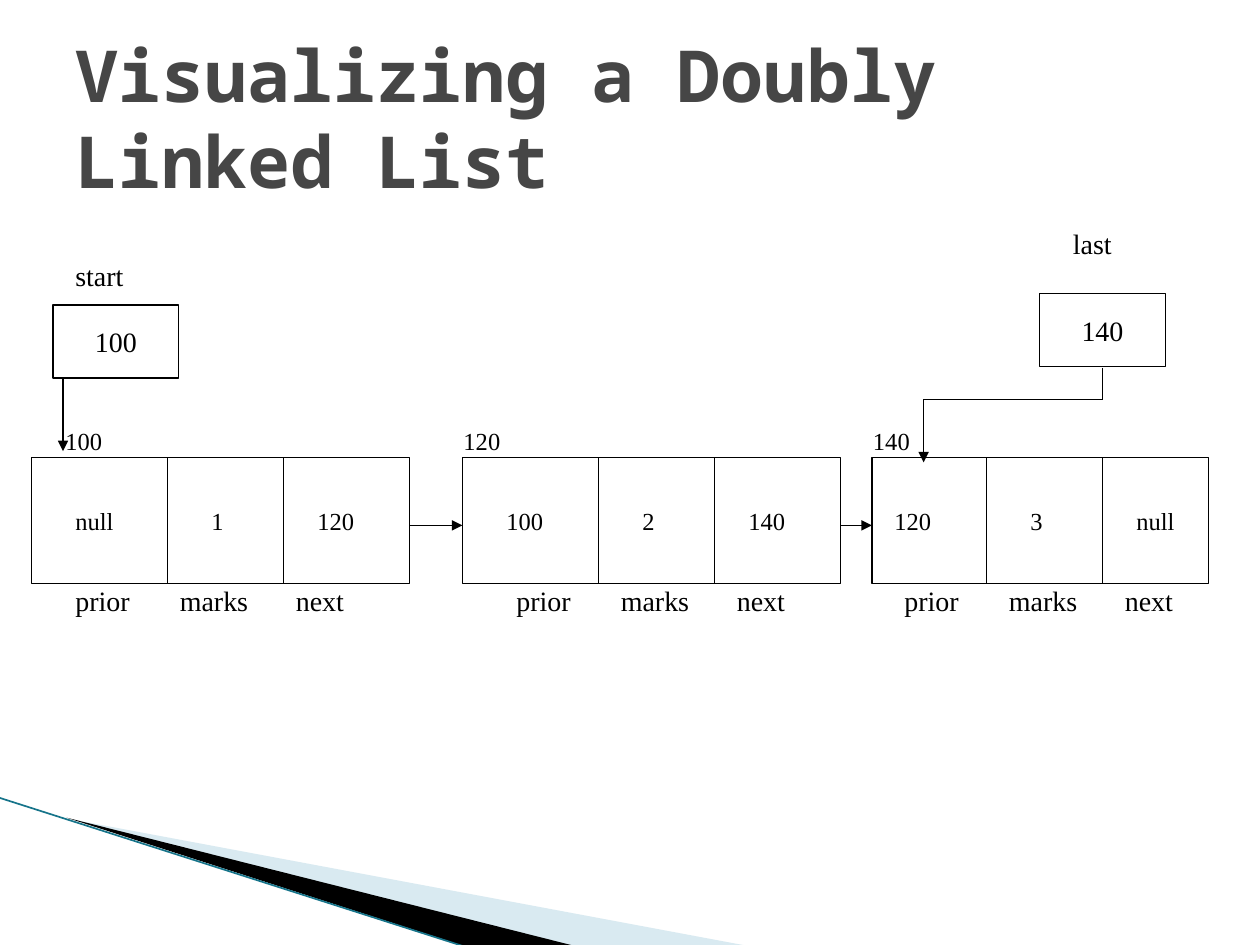
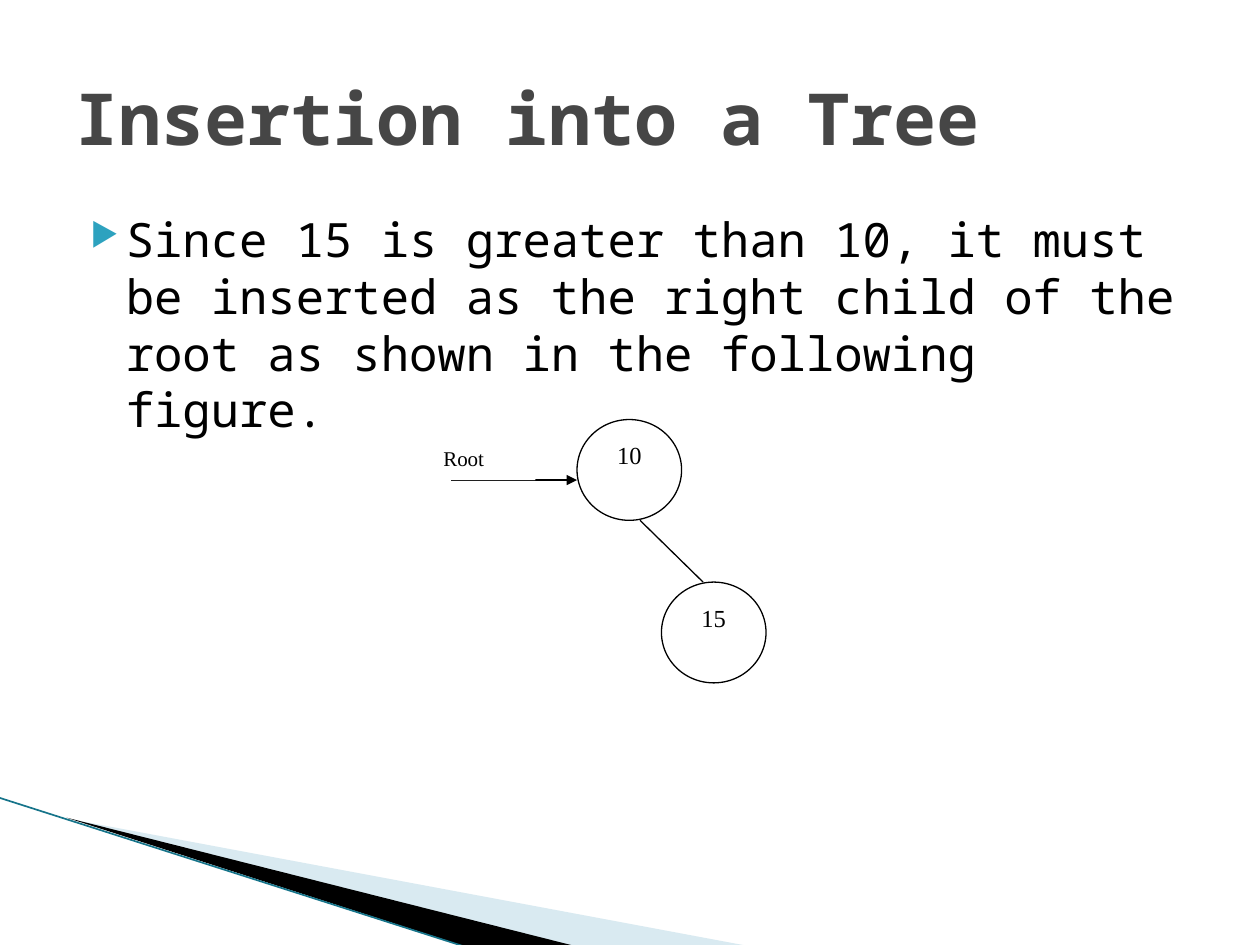
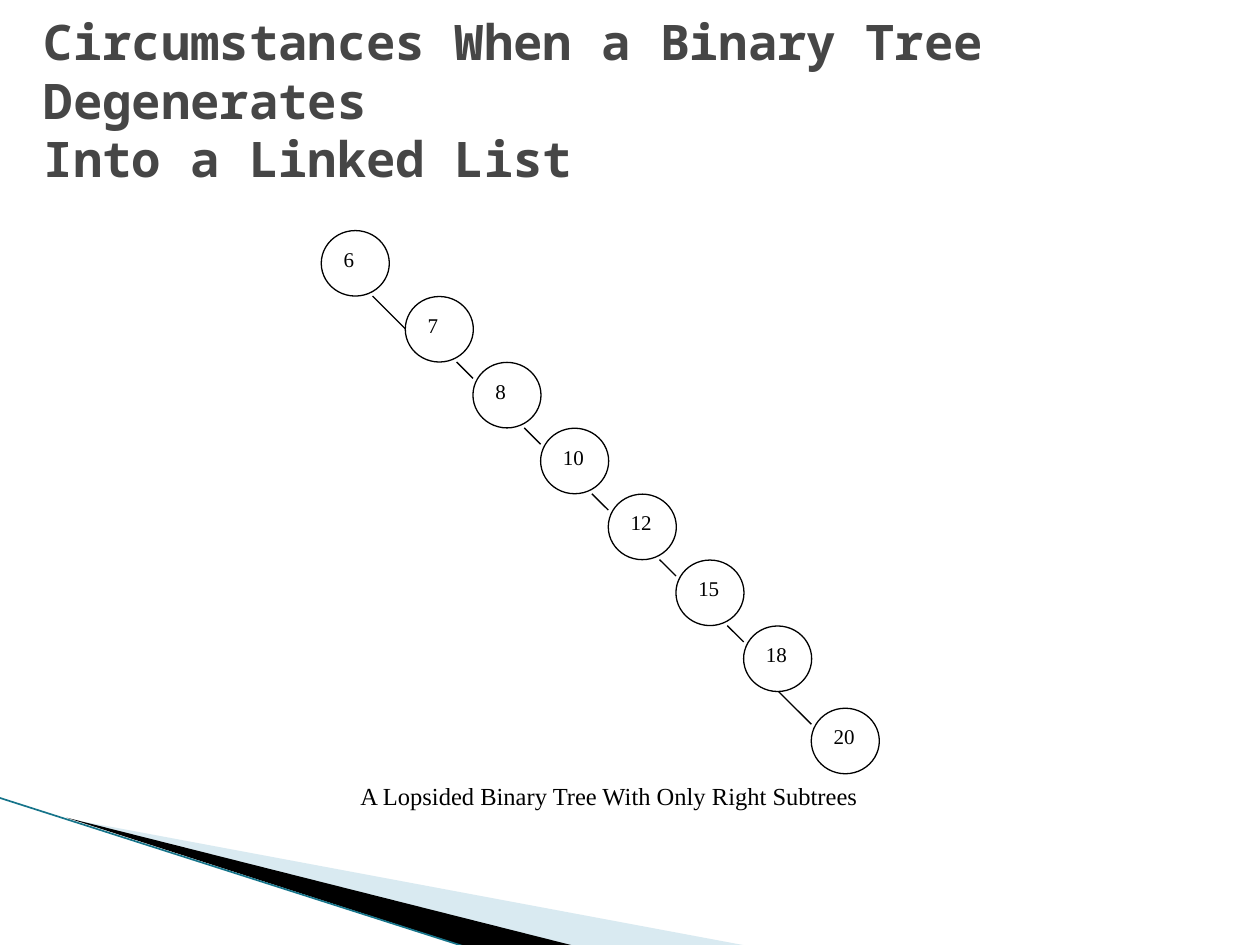
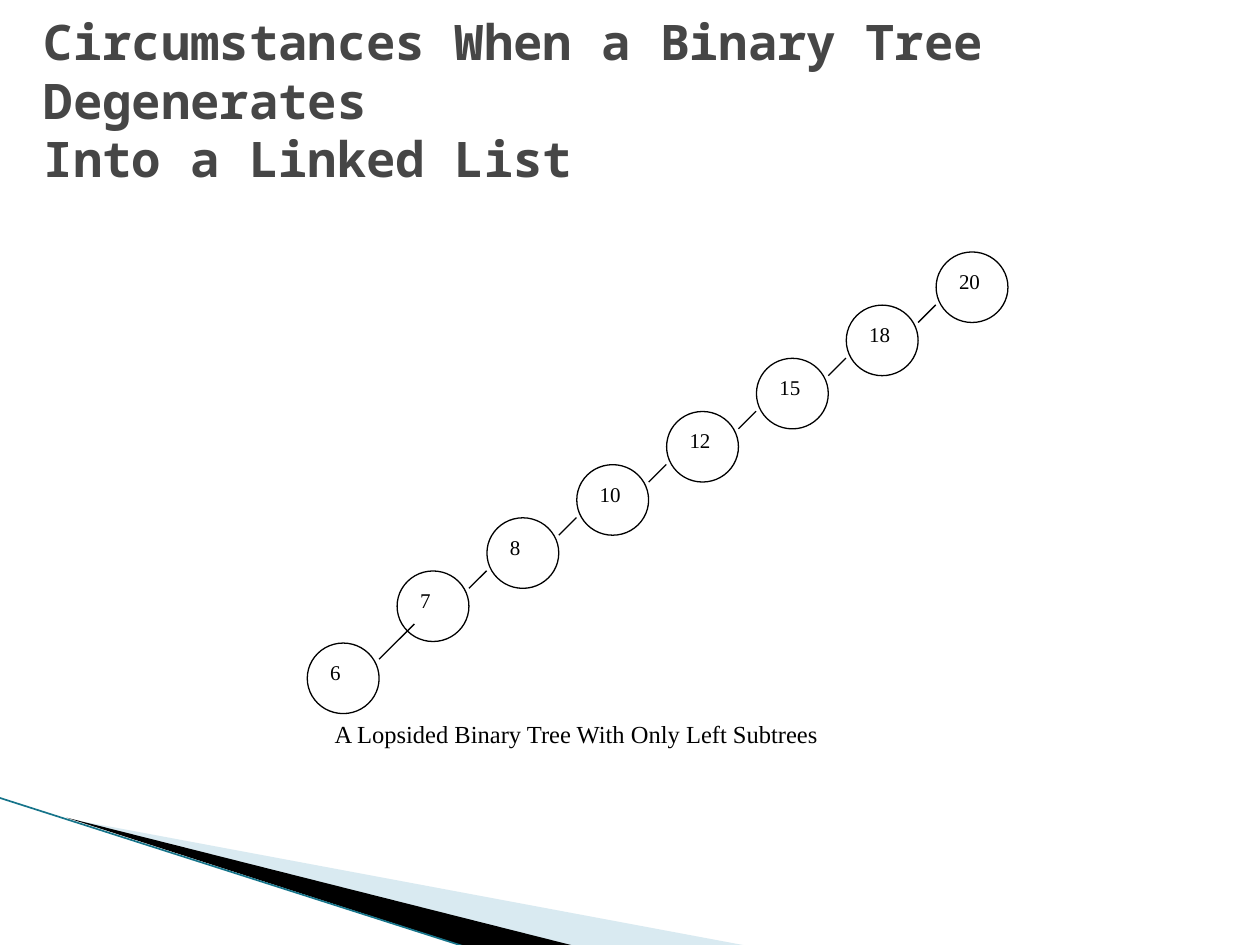
from lxml.etree import SubElement
from pptx import Presentation
from pptx.dml.color import RGBColor
from pptx.enum.shapes import MSO_CONNECTOR as Connector, MSO_SHAPE as Shape
from pptx.enum.text import MSO_ANCHOR as Anchor, PP_ALIGN as Align
from pptx.oxml.ns import qn
from pptx.util import Inches, Pt

SANS, SERIF = "Noto Sans Mono", "Times New Roman"
INK, GREY, WHITE, TEAL = "000000", "464646", "FFFFFF", "2DA2BF"
SWOOSH_LINE, PALE = "16748A", "A0CBDC"

PALE_WEDGE = [(0.55, 6.5), (5.95, 7.51), (4.56, 7.51)]
BLACK_WEDGE = [(0.53, 6.49), (4.57, 7.51), (3.72, 7.52)]

# Doubly linked list
NODE_TOP, NODE_HEIGHT = 3.63, 1
NODES = [
    dict(left=0.25, width=3, divider=1.33, address=("100", 0.42),
         values=("null", "1", "120"), values_left=0.5, fields_left=0.5),
    dict(left=3.67, width=3, divider=4.75, address=("120", 3.58),
         values=("100", "2", "140"), values_left=3.92, fields_left=4),
    dict(left=6.92, width=2.67, divider=7.83, address=("140", 6.83),
         values=("120", "3", "null"), values_left=7, fields_left=7.08),
]
FIELDS = [("prior", 0, 0.67), ("marks", 0.83, 0.83), ("next", 1.75, 0.67)]
VALUE_OFFSETS = (0, 1.08, 1.92)
DIVIDER_GAP = 0.92

# Tree insertion
INSERTION = ("Since 15 is greater than 10, it must be inserted as the right "
             "child of the root as shown in the following figure.")

# Lopsided trees: extra moves a node (and those after it), runs sizes its link
DEGENERATE = "Circumstances When a Binary Tree Degenerates\nInto a Linked List"
KEYS = ["6", "7", "8", "10", "12", "15", "18", "20"]
RIGHT_TREE = dict(
    keys=KEYS, start=(2.55, 1.83), step=(0.537, 0.523), size=(0.54, 0.52),
    extra={1: (0.13, 0), 7: (0, 0.13)}, runs={1: 0.26, 7: 0.26}, run=0.13,
    drop=0.52, caption="A Lopsided Binary Tree With Only Right Subtrees",
    caption_at=(1.75, 6.15, 6.17, 0.39))
LEFT_TREE = dict(
    keys=KEYS[::-1], start=(7.43, 2), step=(-0.713, 0.422), size=(0.57, 0.56),
    extra={7: (0, 0.15)}, runs={7: 0.28}, run=0.14,
    drop=0.42, caption="A Lopsided Binary Tree With Only Left Subtrees",
    caption_at=(1.58, 5.66, 5.99, 0.42))


def color(code):
    return RGBColor.from_string(code)


def write(box, text, size=14, font=SERIF, ink=INK, bold=False,
          align=Align.LEFT, anchor=Anchor.TOP, wrap=True):
    frame = box.text_frame
    frame.word_wrap = wrap
    frame.vertical_anchor = anchor
    para = frame.paragraphs[0]
    para.text = text
    para.alignment = align
    for span in para.runs:
        span.font.size = Pt(size)
        span.font.name = font
        span.font.bold = bold
        span.font.color.rgb = color(ink)
    return para


def add_text(page, text, at, **style):
    return write(page.shapes.add_textbox(*map(Inches, at)), text, **style)


def add_box(page, kind, at, text="", fill=WHITE, line=INK, **style):
    box = page.shapes.add_shape(kind, *map(Inches, at))
    paint(box, fill, line)
    if text:
        write(box, text, **style)


def paint(box, fill, line):
    box.shadow.inherit = False
    if fill:
        box.fill.solid()
        box.fill.fore_color.rgb = color(fill)
    else:
        box.fill.background()
    if line:
        box.line.color.rgb = color(line)
        box.line.width = Pt(0.75)
    else:
        box.line.fill.background()


def add_line(page, start, end, arrow=False, ink=INK, width=0.75):
    line = page.shapes.add_connector(
        Connector.STRAIGHT, *map(Inches, (*start, *end)))
    line.line.color.rgb = color(ink)
    line.line.width = Pt(width)
    properties = line._element.spPr
    if arrow:
        SubElement(properties.find(qn("a:ln")), qn("a:tailEnd"), type="triangle")
    SubElement(properties, qn("a:effectLst"))


def add_wedge(page, points, fill, alpha=None):
    corners = [(Inches(x), Inches(y)) for x, y in points]
    builder = page.shapes.build_freeform(*corners[0])
    builder.add_line_segments(corners[1:], close=True)
    wedge = builder.convert_to_shape()
    paint(wedge, fill, None)
    if alpha:
        shade = wedge._element.spPr.find(qn("a:solidFill"))[0]
        SubElement(shade, qn("a:alpha"), val=str(alpha * 1000))


def add_page(deck, title, at=(0.5, 0.3, 9, 1.25), size=41):
    """Add a blank slide with the corner wedges and its title."""
    page = deck.slides.add_slide(deck.slide_layouts[6])
    add_wedge(page, PALE_WEDGE, PALE, alpha=40)
    add_wedge(page, BLACK_WEDGE, INK)
    add_line(page, (-0.01, 6.33), (3.71, 7.52), ink=SWOOSH_LINE, width=0.95)
    add_text(page, title, at, size=size, font=SANS, ink=GREY, bold=True,
             anchor=Anchor.MIDDLE)
    return page


def add_bullet(para):
    properties = para._p.get_or_add_pPr()
    properties.set("marL", str(Inches(0.4)))
    properties.set("indent", str(Inches(-0.28)))
    SubElement(SubElement(properties, qn("a:buClr")), qn("a:srgbClr"), val=TEAL)
    SubElement(properties, qn("a:buSzPct"), val="68000")
    SubElement(properties, qn("a:buChar"), char="▶")


def add_node(page, node):
    add_box(page, Shape.RECTANGLE,
            (node["left"], NODE_TOP, node["width"], NODE_HEIGHT), fill=None)
    for x in (node["divider"], node["divider"] + DIVIDER_GAP):
        add_line(page, (x, NODE_TOP), (x, NODE_TOP + NODE_HEIGHT))
    for name, offset, width in FIELDS:
        add_text(page, name, (node["fields_left"] + offset, 4.58, width, 0.37),
                 size=16)
    for value, offset in zip(node["values"], VALUE_OFFSETS):
        add_text(page, value, (node["values_left"] + offset, 3.97, 0.58, 0.33))
    address, left = node["address"]
    add_text(page, address, (left, 3.33, 0.58, 0.33))


def add_pointer(page, value, left, top):
    add_box(page, Shape.RECTANGLE, (left, top, 1, 0.58), value, fill=None,
            size=16, align=Align.CENTER, anchor=Anchor.MIDDLE, wrap=False)


def list_page(deck):
    page = add_page(deck, "Visualizing a Doubly Linked List")
    for node in NODES:
        add_node(page, node)
    for node, following in zip(NODES, NODES[1:]):
        add_line(page, (node["left"] + node["width"], 4.17),
                 (following["left"], 4.17), arrow=True)
    add_pointer(page, "100", 0.42, 2.42)
    add_text(page, "start", (0.5, 2, 1, 0.37), size=16)
    add_line(page, (0.5, 3), (0.5, 3.58), arrow=True)
    add_pointer(page, "140", 8.25, 2.33)
    add_text(page, "last", (8.17, 1.75, 1, 0.37), size=16, align=Align.CENTER)
    elbow = [(8.75, 2.92), (8.75, 3.17), (7.33, 3.17), (7.33, 3.67)]
    for start, end in zip(elbow, elbow[1:]):
        add_line(page, start, end, arrow=end == elbow[-1])


def insertion_page(deck):
    page = add_page(deck, "Insertion into a Tree")
    add_bullet(add_text(page, INSERTION, (0.5, 1.62, 9, 4.95), size=27, font=SANS))
    add_box(page, Shape.OVAL, (4.58, 3.33, 0.83, 0.8), "10", align=Align.CENTER)
    add_line(page, (3.58, 3.81), (4.58, 3.81), arrow=True)
    add_box(page, Shape.RECTANGLE, (3.42, 3.49, 0.83, 0.32), "Root", line=None,
            size=12)
    add_line(page, (5.08, 4.13), (5.58, 4.62))
    add_box(page, Shape.OVAL, (5.25, 4.62, 0.83, 0.8), "15", align=Align.CENTER)


def lopsided_page(deck, tree):
    page = add_page(deck, DEGENERATE, (0.25, 0.25, 8.5, 1.08), size=28)
    add_box(page, Shape.RECTANGLE, tree["caption_at"], tree["caption"],
            line=None, align=Align.CENTER)
    (left, top), (dx, dy), (width, height) = tree["start"], tree["step"], tree["size"]
    spots = []
    for index, key in enumerate(tree["keys"]):
        more_x, more_y = tree["extra"].get(index, (0, 0))
        left, top = left + more_x, top + more_y
        spots.append((left, top))
        add_box(page, Shape.OVAL, (left, top, width, height), key, size=12)
        left, top = left + dx, top + dy
    for index in range(1, len(spots)):
        run = tree["runs"].get(index, tree["run"])
        start_y = spots[index - 1][1] + tree["drop"]
        end_x = spots[index][0] + (0 if dx > 0 else width)
        start_x = end_x - run if dx > 0 else end_x + run
        add_line(page, (start_x, start_y), (end_x, start_y + run))


def main():
    deck = Presentation()
    deck.slide_width, deck.slide_height = Inches(10), Inches(7.5)
    list_page(deck)
    insertion_page(deck)
    for tree in (RIGHT_TREE, LEFT_TREE):
        lopsided_page(deck, tree)
    deck.save("out.pptx")


if __name__ == "__main__":
    main()
